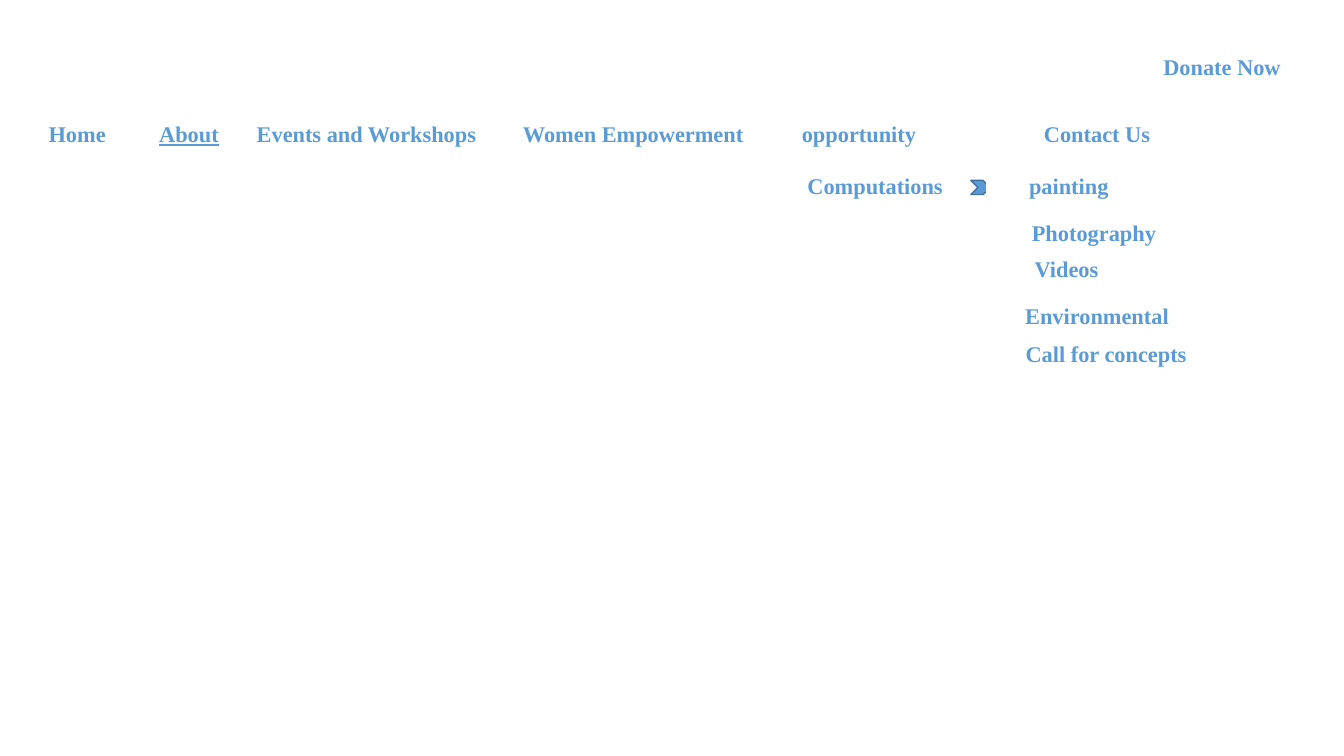
"""Build a website navigation slide with a menu bar and an open submenu."""
from pptx import Presentation
from pptx.dml.color import RGBColor
from pptx.enum.shapes import MSO_SHAPE as Shape
from pptx.enum.text import MSO_ANCHOR as Anchor, PP_ALIGN as Align
from pptx.util import Inches, Pt

COLORS = {"text": "5B9BD5", "outline": "43739E", "paper": "FFFFFF"}
WIDTH, HEIGHT = Inches(13.33), Inches(7.5)
COLUMN, ROW = WIDTH / 100, HEIGHT / 100
ITEM_WIDTH, ITEM_HEIGHT = 12.3, 4.93
MENU_ROW, SUBMENU_ROW = 15.2, 22.13

MENU = [
    ("Home", 2.18, 7.13),
    ("About", 10.5, 7.13),
    ("Events and Workshops", 17.25, 20.03),
    ("Women Empowerment", 36.23, 21.76),
    ("opportunity", 57.76, ITEM_WIDTH),
    ("Contact Us", 75.47, ITEM_WIDTH),
]
SUBMENU = [
    ("painting", 73.37, SUBMENU_ROW, ITEM_WIDTH),
    ("Photography", 75.24, 28.27, ITEM_WIDTH),
    ("Videos", 73.2, 33.07, ITEM_WIDTH),
    ("Environmental", 75.47, 39.33, ITEM_WIDTH),
    ("Call for concepts", 75.47, 44.27, 13.65),
]


def add_filled_shape(slide, kind, left, top, width, height, color):
    """Add a preset shape placed in hundredths of the slide's size."""
    shape = slide.shapes.add_shape(
        kind, round(left * COLUMN), round(top * ROW),
        round(width * COLUMN), round(height * ROW))
    shape.shadow.inherit = False
    shape.fill.solid()
    shape.fill.fore_color.rgb = RGBColor.from_string(COLORS[color])
    return shape


def add_item(slide, label, left, top, width, align=Align.CENTER, underline=None):
    """Add a white menu item with a bold label."""
    shape = add_filled_shape(
        slide, Shape.RECTANGLE, left, top, width, ITEM_HEIGHT, "paper")
    shape.line.fill.background()
    frame = shape.text_frame
    frame.word_wrap = False
    frame.vertical_anchor = Anchor.MIDDLE
    paragraph = frame.paragraphs[0]
    paragraph.text = label
    paragraph.alignment = align
    font = paragraph.font
    font.name, font.size, font.bold = "Times New Roman", Pt(16), True
    font.underline = underline
    font.color.rgb = RGBColor.from_string(COLORS["text"])


def add_submenu_chevron(slide):
    """Add the outlined chevron that points to the submenu."""
    chevron = add_filled_shape(
        slide, Shape.CHEVRON, 72.24, 23.87, 1.43, 1.87, "text")
    chevron.line.color.rgb = RGBColor.from_string(COLORS["outline"])
    chevron.line.width = Pt(1)


def main():
    """Build and save the slide."""
    presentation = Presentation()
    presentation.slide_width, presentation.slide_height = WIDTH, HEIGHT
    slide = presentation.slides.add_slide(presentation.slide_layouts[6])
    add_item(slide, "Donate Now", 84.77, 6.4, ITEM_WIDTH)
    for label, left, width in MENU:
        add_item(slide, label, left, MENU_ROW, width,
                 underline=True if label == "About" else None)
    add_item(slide, "Computations", 59.34, SUBMENU_ROW, 11.7, Align.LEFT)
    add_submenu_chevron(slide)
    for label, left, top, width in SUBMENU:
        add_item(slide, label, left, top, width)
    presentation.save("out.pptx")


main()
